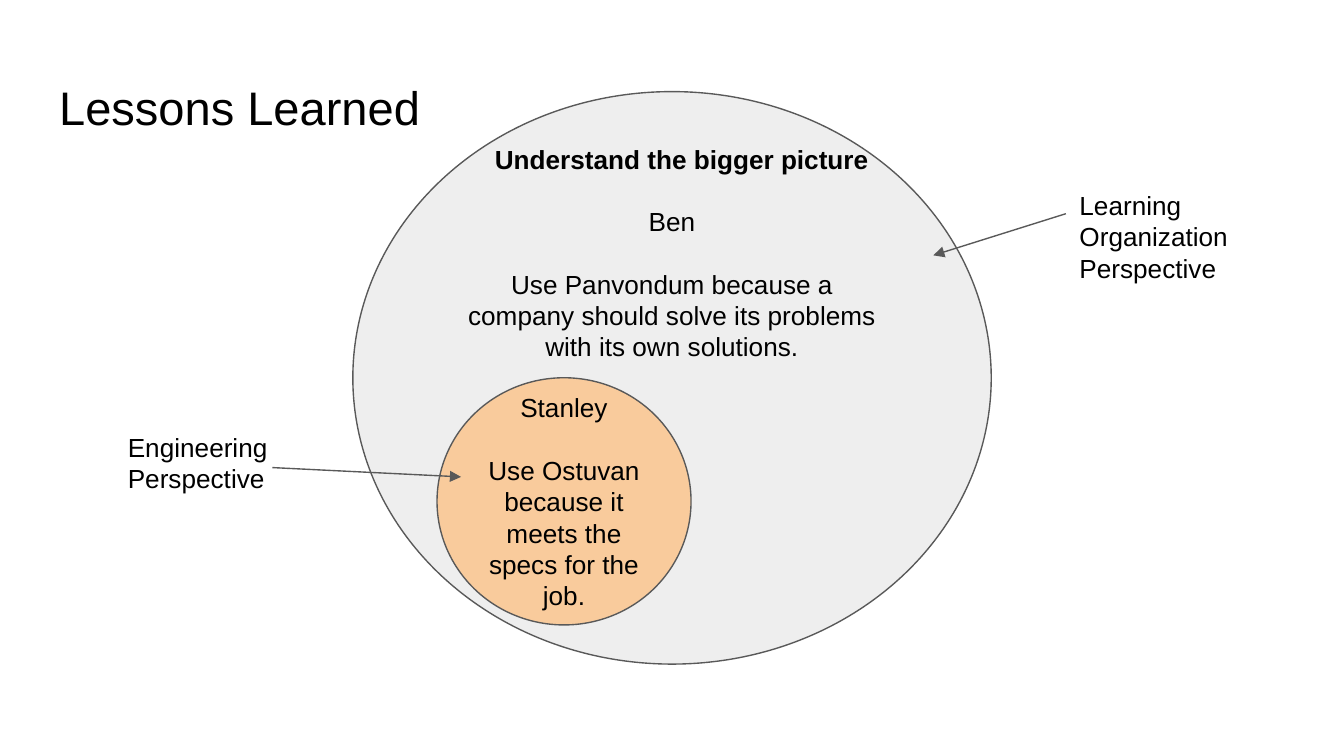
from dataclasses import dataclass

import pptx
import pptx.dml.color
import pptx.enum.shapes
import pptx.enum.text
import pptx.oxml.ns
import pptx.shapes.autoshape
import pptx.slide
import pptx.text.text
import pptx.util
from lxml import etree

Pt = pptx.util.Pt
RGBColor = pptx.dml.color.RGBColor
Align = pptx.enum.text.PP_ALIGN
Anchor = pptx.enum.text.MSO_ANCHOR

BLACK = RGBColor(0x00, 0x00, 0x00)
OUTLINE = RGBColor(0x59, 0x59, 0x59)
LIGHT_GRAY = RGBColor(0xEE, 0xEE, 0xEE)
PEACH = RGBColor(0xF9, 0xCB, 0x9C)

FONT = "Arial"
TITLE_SIZE = 25.2
TEXT_SIZE = 14
INSET = 7.2
LINE_HEIGHT = 16.8
LINE_WIDTH = 0.75


@dataclass(frozen=True)
class Box:
    left: float
    top: float
    width: float
    height: float

    def lengths(self) -> list[pptx.util.Length]:
        return [Pt(v) for v in (self.left, self.top, self.width, self.height)]


@dataclass(frozen=True)
class Circle:
    box: Box
    fill: RGBColor
    person: str
    opinion: str
    lines_kept_free: int = 0


@dataclass(frozen=True)
class Label:
    box: Box
    text: str
    bold: bool = False


@dataclass(frozen=True)
class Arrow:
    start: tuple[float, float]
    end: tuple[float, float]


CIRCLES = [
    Circle(Box(189, 49.1, 342, 306.7), LIGHT_GRAY, "Ben",
           "Use Panvondum because a company should solve its problems "
           "with its own solutions.", lines_kept_free=6),
    Circle(Box(234.1, 202.4, 136.1, 132.4), PEACH, "Stanley",
           "Use Ostuvan because it meets the specs for the job."),
]
LABELS = [
    Label(Box(61.4, 223.9, 105.1, 41), "Engineering Perspective"),
    Label(Box(571.2, 94.3, 105.1, 41), "Learning Organization Perspective"),
    Label(Box(258, 69.8, 221, 53.3), "Understand the bigger picture", bold=True),
]
ARROWS = [
    Arrow((145.9, 250.5), (247, 255.5)),
    Arrow((571, 114.5), (500, 136.8)),
]


def prepare_frame(frame: pptx.text.text.TextFrame, anchor: Anchor) -> None:
    frame.word_wrap = True
    frame.auto_size = pptx.enum.text.MSO_AUTO_SIZE.NONE
    frame.vertical_anchor = anchor
    frame.margin_left = frame.margin_right = Pt(INSET)
    frame.margin_top = frame.margin_bottom = Pt(INSET)


def write(paragraph, text: str, size: float = TEXT_SIZE,
          align: Align = Align.LEFT, bold: bool = False) -> None:
    paragraph.alignment = align
    run = paragraph.add_run()
    run.text = text
    run.font.name = FONT
    run.font.size = Pt(size)
    run.font.bold = bold
    run.font.color.rgb = BLACK


def place_title(slide: pptx.slide.Slide, text: str, box: Box) -> None:
    title = slide.shapes.title
    title.left, title.top, title.width, title.height = box.lengths()
    prepare_frame(title.text_frame, Anchor.TOP)
    write(title.text_frame.paragraphs[0], text, TITLE_SIZE)


def draw_circle(slide: pptx.slide.Slide, circle: Circle) -> None:
    oval = slide.shapes.add_shape(
        pptx.enum.shapes.MSO_SHAPE.OVAL, *circle.box.lengths())
    oval.shadow.inherit = False
    oval.fill.solid()
    oval.fill.fore_color.rgb = circle.fill
    oval.line.color.rgb = OUTLINE
    oval.line.width = Pt(LINE_WIDTH)
    frame = oval.text_frame
    prepare_frame(frame, Anchor.MIDDLE)
    frame.margin_bottom = Pt(INSET + circle.lines_kept_free * LINE_HEIGHT)
    person = frame.paragraphs[0]
    person.space_after = Pt(LINE_HEIGHT)
    write(person, circle.person, align=Align.CENTER)
    write(frame.add_paragraph(), circle.opinion, align=Align.CENTER)


def draw_label(slide: pptx.slide.Slide, label: Label) -> None:
    frame = slide.shapes.add_textbox(*label.box.lengths()).text_frame
    prepare_frame(frame, Anchor.TOP)
    write(frame.paragraphs[0], label.text, bold=label.bold)


def draw_arrow(slide: pptx.slide.Slide, arrow: Arrow) -> None:
    connector = slide.shapes.add_connector(
        pptx.enum.shapes.MSO_CONNECTOR.STRAIGHT,
        *[Pt(v) for v in arrow.start + arrow.end])
    connector.line.color.rgb = OUTLINE
    connector.line.width = Pt(LINE_WIDTH)
    qn = pptx.oxml.ns.qn
    properties = connector.element.spPr
    etree.SubElement(properties.find(qn("a:ln")), qn("a:tailEnd"), type="triangle")
    etree.SubElement(properties, qn("a:effectLst"))


def main() -> None:
    deck = pptx.Presentation()
    deck.slide_width, deck.slide_height = Pt(720), Pt(405)
    slide = deck.slides.add_slide(deck.slide_layouts.get_by_name("Title Only"))
    place_title(slide, "Lessons Learned", Box(24.5, 34.8, 671, 45.4))
    for circle in CIRCLES:
        draw_circle(slide, circle)
    for arrow in ARROWS:
        draw_arrow(slide, arrow)
    for label in LABELS:
        draw_label(slide, label)
    deck.save("out.pptx")


if __name__ == "__main__":
    main()
